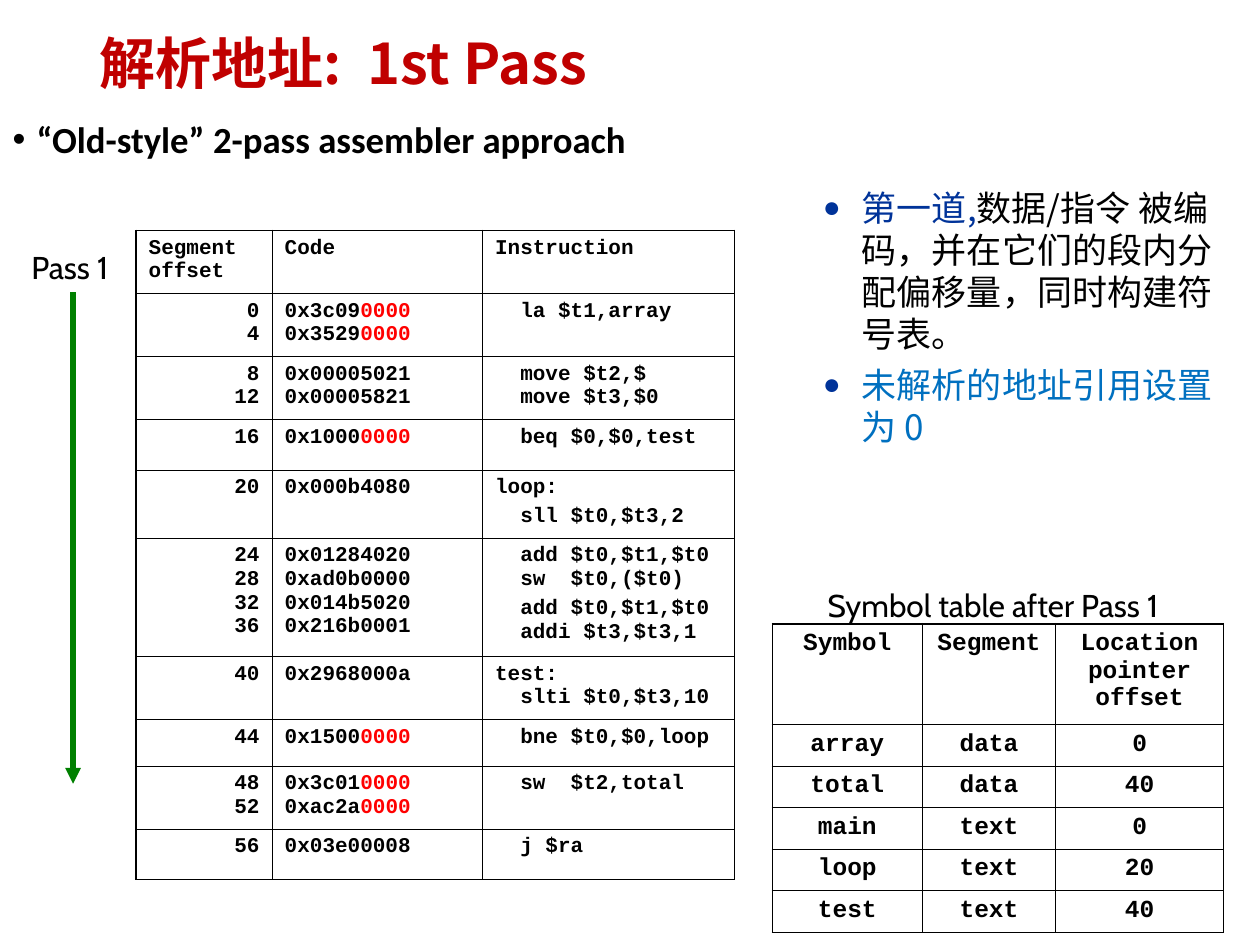
from dataclasses import dataclass

from lxml.etree import SubElement
from pptx import Presentation
from pptx.dml.color import RGBColor
from pptx.enum.shapes import MSO_CONNECTOR
from pptx.enum.text import MSO_ANCHOR, MSO_AUTO_SIZE, PP_ALIGN
from pptx.oxml import parse_xml
from pptx.oxml.ns import nsdecls, qn
from pptx.util import Inches, Pt

BLACK = RGBColor(0, 0, 0)
RED = RGBColor(0xFF, 0, 0)
CRIMSON = RGBColor(0xC0, 0, 0)
NAVY = RGBColor(0, 0x33, 0x99)
BLUE = RGBColor(0, 0x70, 0xC0)
GREEN = RGBColor(0, 0x80, 0)
CJK = "Noto Sans CJK SC"
MONO = "Courier New"
THICK, THIN = 1.08, 0.45


@dataclass
class Box:
    left: float
    top: float
    width: float
    height: float

    def emu(self) -> list:
        return [Inches(v) for v in (self.left, self.top, self.width, self.height)]


@dataclass
class Grid:
    left: float
    top: float
    cols: list
    rows: list
    cells: list
    size: float
    gap: float
    head: PP_ALIGN
    aligns: list


@dataclass
class Label:
    text: str
    box: Box


@dataclass
class Bullet:
    char: str
    color: RGBColor
    left: float
    hang: float
    scale: int = 100


# "|" starts the unresolved (red) digits; an empty line starts a new paragraph
CODE = Grid(
    1.08, 1.83, [1.08, 1.67, 2],
    [0.5, 0.5, 0.5, 0.4, 0.54, 0.94, 0.5, 0.37, 0.5, 0.4],
    [
        ("Segment offset", "Code", "Instruction"),
        ("0\n4", "0x3c09|0000\n0x3529|0000", "  la $t1,array"),
        ("8\n12", "0x00005021\n0x00005821", "  move $t2,$\n  move $t3,$0"),
        ("16", "0x1000|0000", "  beq $0,$0,test"),
        ("20", "0x000b4080", "loop:\n\n  sll $t0,$t3,2"),
        ("24\n28\n32\n36", "0x01284020\n0xad0b0000\n0x014b5020\n0x216b0001",
         "  add $t0,$t1,$t0\n  sw  $t0,($t0)\n\n  add $t0,$t1,$t0\n  addi $t3,$t3,1"),
        ("40", "0x2968000a", "test:\n  slti $t0,$t3,10"),
        ("44", "0x1500|0000", "  bne $t0,$0,loop"),
        ("48\n52", "0x3c01|0000\n0xac2a|0000", "  sw  $t2,total"),
        ("56", "0x03e00008", "  j $ra"),
    ],
    12, 3, PP_ALIGN.LEFT, [PP_ALIGN.RIGHT, PP_ALIGN.LEFT, PP_ALIGN.LEFT])

SYMBOLS = Grid(
    6.13, 4.95, [1.19, 1.06, 1.33], [0.8] + [0.33] * 5,
    [
        ("Symbol", "Segment", "Location pointer offset"),
        ("array", "data", "0"),
        ("total", "data", "40"),
        ("main", "text", "0"),
        ("loop", "text", "20"),
        ("test", "text", "40"),
    ],
    14, 3.5, PP_ALIGN.CENTER, [PP_ALIGN.CENTER] * 3)

LABELS = [
    Label("Pass 1", Box(0.15, 1.92, 0.94, 0.4)),
    Label("Symbol table after Pass 1", Box(6.47, 4.6, 3.15, 0.4)),
]
NOTES = [
    [("第一道,", NAVY), ("数据/指令 被编码，并在它们的段内分配偏移量，同时构建符号表。", BLACK)],
    [("未解析的地址引用设置为 0", BLUE)],
]


def style(para, name: str, size: float, color: RGBColor, bold: bool = False) -> None:
    font = para.font
    font.name, font.size, font.bold = name, Pt(size), bold
    font.color.rgb = color
    SubElement(font._element, qn("a:ea")).set("typeface", name)


def add_run(para, text: str, color: RGBColor) -> None:
    run = para.add_run()
    run.text = text
    run.font.color.rgb = color


def mark(para, dot: Bullet) -> None:
    props = para._p.get_or_add_pPr()
    props.set("marL", str(Inches(dot.left)))
    props.set("indent", str(-Inches(dot.hang)))
    tint = SubElement(props, qn("a:buClr"))
    SubElement(tint, qn("a:srgbClr")).set("val", str(dot.color))
    SubElement(props, qn("a:buSzPct")).set("val", str(dot.scale * 1000))
    SubElement(props, qn("a:buFont")).set("typeface", "Arial")
    SubElement(props, qn("a:buChar")).set("char", dot.char)


def place(shape, box: Box):
    shape.left, shape.top, shape.width, shape.height = box.emu()
    frame = shape.text_frame
    frame.word_wrap = True
    frame.auto_size = MSO_AUTO_SIZE.NONE
    return frame


def fill_cell(cell, text: str, grid: Grid, align: PP_ALIGN) -> None:
    frame = cell.text_frame
    for i, block in enumerate(text.split("\n\n")):
        para = frame.add_paragraph() if i else frame.paragraphs[0]
        para.alignment, para.space_before = align, Pt(grid.gap)
        style(para, MONO, grid.size, BLACK, True)
        for j, line in enumerate(block.split("\n")):
            if j:
                para.add_line_break()
            known, _, open_part = line.partition("|")
            add_run(para, known, BLACK)
            if open_part:
                add_run(para, open_part, RED)


def set_edges(cell, widths: dict) -> None:
    cell.fill.background()
    props = cell._tc.get_or_add_tcPr()
    for i, (side, width) in enumerate(widths.items()):
        props.insert(i, parse_xml(
            f'<a:ln{side} {nsdecls("a")} w="{Pt(width)}"><a:solidFill>'
            f'<a:srgbClr val="{BLACK}"/></a:solidFill></a:ln{side}>'))


def draw_grid(slide, grid: Grid) -> None:
    box = Box(grid.left, grid.top, sum(grid.cols), sum(grid.rows))
    table = slide.shapes.add_table(len(grid.rows), len(grid.cols), *box.emu()).table
    table.first_row = table.horz_banding = False
    for col, width in zip(table.columns, grid.cols):
        col.width = Inches(width)
    for r, (height, texts) in enumerate(zip(grid.rows, grid.cells)):
        table.rows[r].height = Inches(height)
        for c, text in enumerate(texts):
            cell = table.cell(r, c)
            fill_cell(cell, text, grid, grid.aligns[c] if r else grid.head)
            outer = {"L": c == 0, "R": c == len(grid.cols) - 1,
                     "T": r == 0, "B": r == len(grid.rows) - 1}
            set_edges(cell, {k: THICK if v else THIN for k, v in outer.items()})


def draw_label(slide, label: Label) -> None:
    frame = slide.shapes.add_textbox(*label.box.emu()).text_frame
    frame.word_wrap = False
    frame.auto_size = MSO_AUTO_SIZE.SHAPE_TO_FIT_TEXT
    frame.text = label.text
    style(frame.paragraphs[0], "Cabin", 18, BLACK)


def draw_arrow(slide, x: float, top: float, end: float) -> None:
    arrow = slide.shapes.add_connector(
        MSO_CONNECTOR.STRAIGHT, Inches(x), Inches(top), Inches(x), Inches(end))
    arrow.line.color.rgb, arrow.line.width = GREEN, Pt(3)
    SubElement(arrow.line._get_or_add_ln(), qn("a:tailEnd")).set("type", "triangle")
    SubElement(arrow._element.spPr, qn("a:effectLst"))


def main() -> None:
    deck = Presentation()
    deck.slide_width, deck.slide_height = Inches(10), Inches(7.5)
    slide = deck.slides.add_slide(deck.slide_layouts.get_by_name("Two Content"))
    title, lead, notes = list(slide.placeholders)[:3]

    # Title
    frame = place(title, Box(0.69, 0.22, 8.63, 0.62))
    frame.vertical_anchor = MSO_ANCHOR.MIDDLE
    frame.text = "解析地址:  1st Pass"
    para = frame.paragraphs[0]
    para.alignment, para.line_spacing = PP_ALIGN.LEFT, 0.9
    style(para, CJK, 32, CRIMSON, True)

    # Lead line
    frame = place(lead, Box(0, 0.79, 10, 6.73))
    frame.text = "“Old-style” 2-pass assembler approach"
    para = frame.paragraphs[0]
    para.line_spacing, para.space_before = 1.25, Pt(7.5)
    mark(para, Bullet("•", BLACK, 0.19, 0.19))
    style(para, "Calibri", 21, BLACK, True)

    # Notes on the first pass
    frame = place(notes, Box(5.83, 1.33, 4.17, 2.79))
    frame.margin_left = frame.margin_right = Inches(0.2)
    frame.margin_top = frame.margin_bottom = Inches(0.15)
    for i, parts in enumerate(NOTES):
        para = frame.add_paragraph() if i else frame.paragraphs[0]
        para.level, para.space_before, para.line_spacing = 1, Pt(5), Pt(24)
        mark(para, Bullet("●", NAVY, 0.81, 0.31, 85))
        style(para, CJK, 20, BLACK)
        for text, color in parts:
            add_run(para, text, color)

    # Tables, labels and the pass arrow
    for grid in (CODE, SYMBOLS):
        draw_grid(slide, grid)
    draw_arrow(slide, 0.58, 2.32, 6.22)
    for label in LABELS:
        draw_label(slide, label)
    deck.save("out.pptx")


if __name__ == "__main__":
    main()
